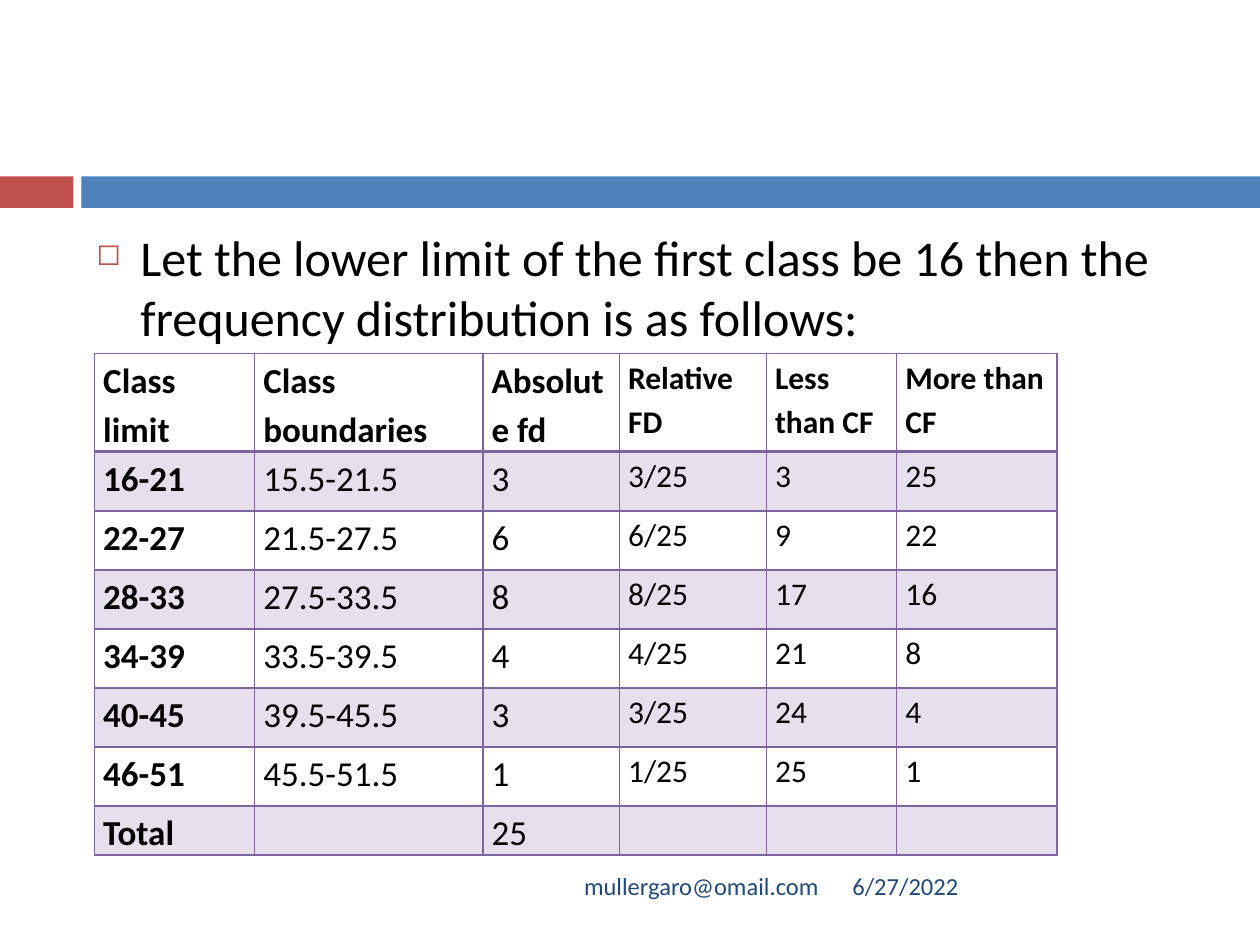
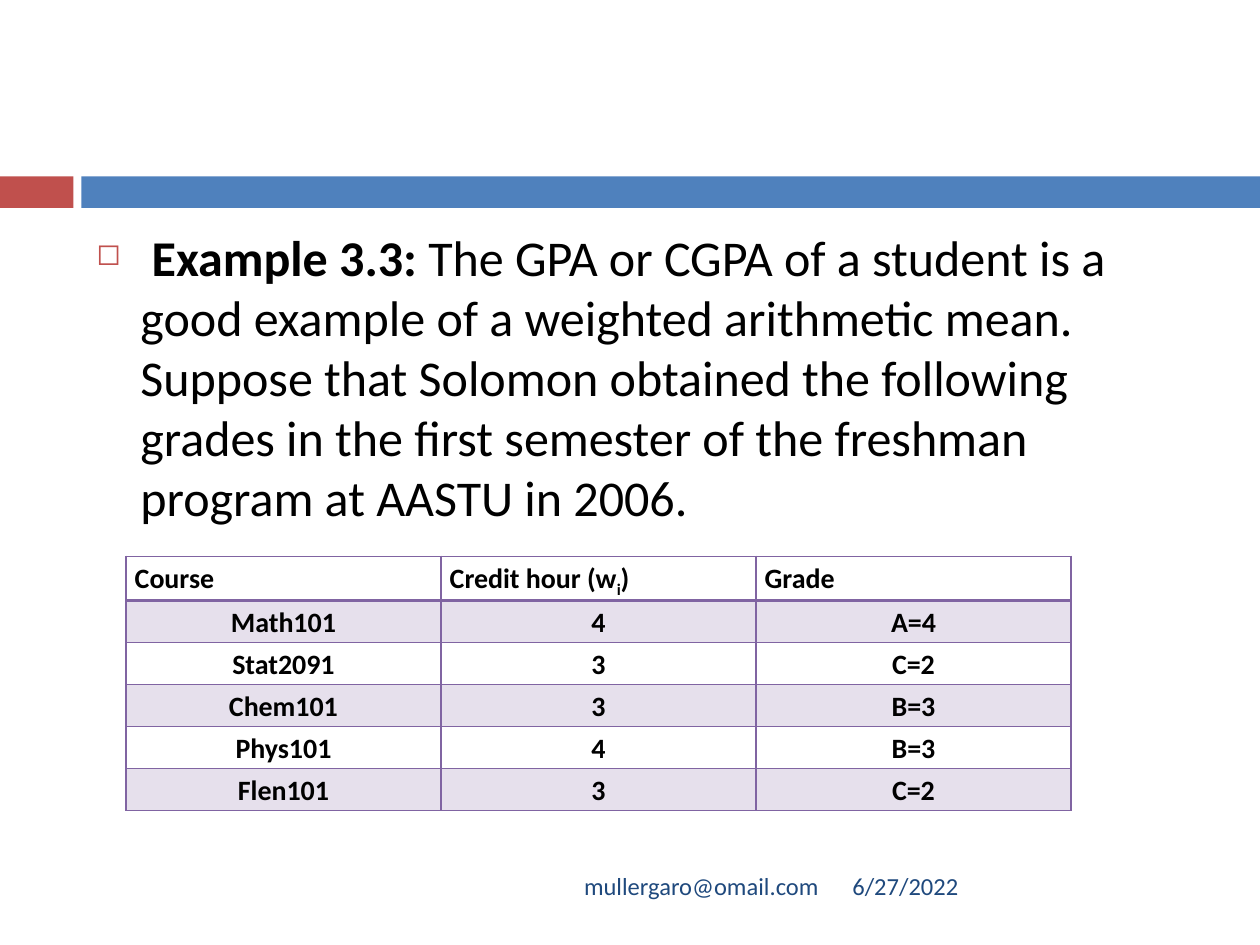
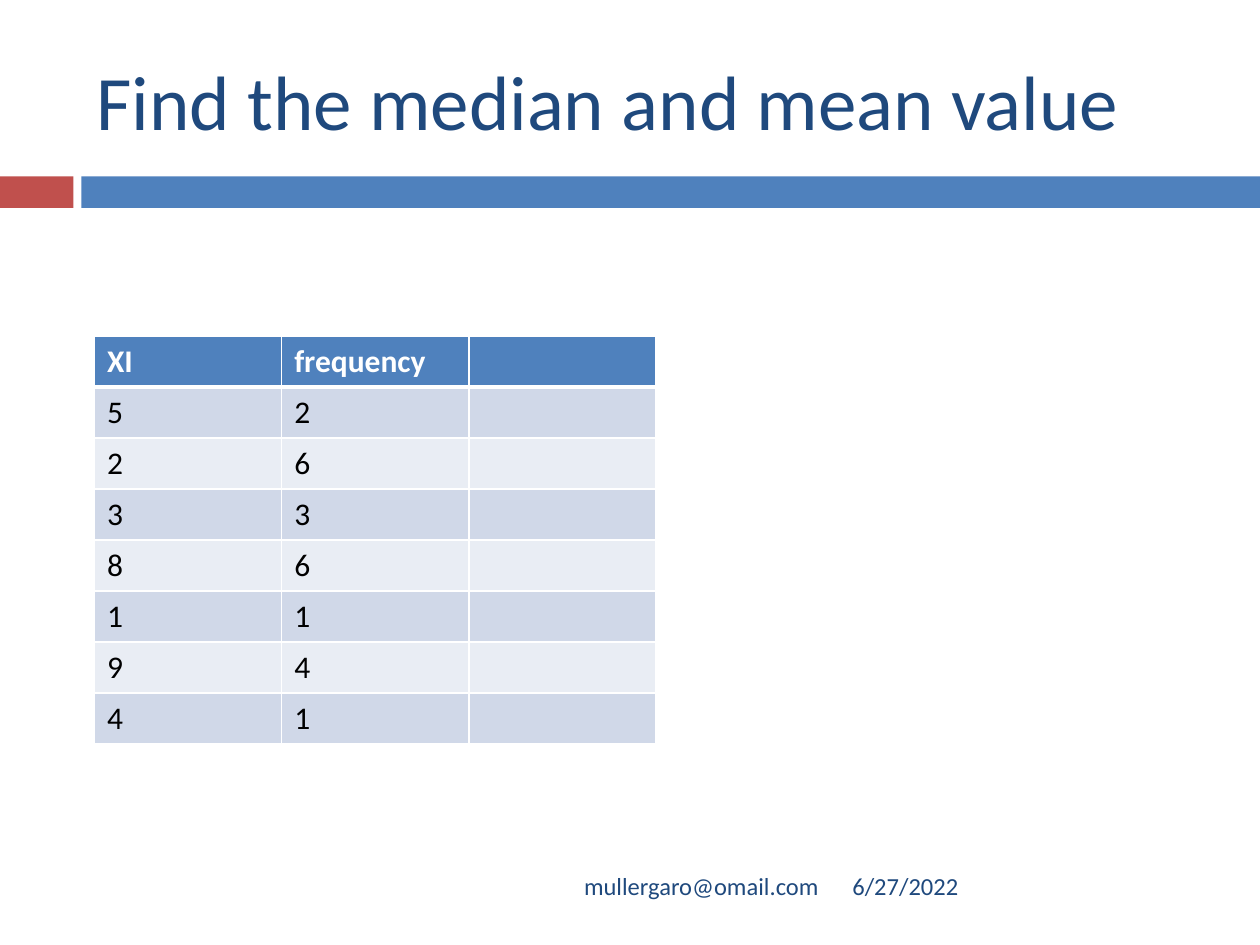
from dataclasses import dataclass

from lxml.etree import SubElement
from pptx import Presentation
from pptx.dml.color import RGBColor
from pptx.enum.shapes import MSO_SHAPE
from pptx.enum.text import MSO_ANCHOR, PP_ALIGN
from pptx.oxml.ns import qn
from pptx.util import Pt


@dataclass(frozen=True)
class Theme:
    font: str = "Calibri"
    ink: str = "000000"
    paper: str = "FFFFFF"
    navy: str = "1F497D"
    blue: str = "4F81BD"
    red: str = "C0504D"
    purple: str = "8064A2"
    lilac: str = "E6E0EC"
    blue_band: str = "D0D8E8"
    pale_band: str = "E9EDF4"
    title_size: float = 44
    body_size: float = 28.6
    footer_size: float = 14
    large_cell: float = 20
    medium_cell: float = 18
    small_cell: float = 16


@dataclass(frozen=True)
class Box:
    left: float
    top: float
    width: float
    height: float

    def lengths(self):
        return Pt(self.left), Pt(self.top), Pt(self.width), Pt(self.height)


@dataclass(frozen=True)
class Piece:
    """A stretch of text that differs from its neighbours."""
    text: str
    bold: bool = False
    subscript: bool = False


@dataclass(frozen=True)
class TableLook:
    """Band fills alternate from the first body row; None means no fill."""
    border: str
    header_fill: str | None
    bands: tuple
    header_ink: str
    rule_width: float
    sizes: tuple
    bold_columns: int = 0
    margins: tuple = (5, 0)
    line_spacing: float | None = None
    header_align: PP_ALIGN | None = None
    body_align: PP_ALIGN | None = None


THEME = Theme()
SLIDE = Box(0, 0, 720, 540)
BAND = Box(0, 100.8, 720, 18)
TITLE = Box(48, 18, 642, 78)
BODY = Box(48, 126, 642, 354)
FOOTER = Box(48, 492, 642, 28.8)
FOOTER_EMAIL = "mullergaro@omail.com"
FOOTER_DATE = "6/27/2022"

PURPLE_GRID = dict(border=THEME.purple, header_fill=None, bands=(THEME.lilac, None),
                   header_ink=THEME.ink, rule_width=2, line_spacing=1.15)
FREQUENCY_LOOK = TableLook(
    sizes=(THEME.large_cell,) * 3 + (THEME.medium_cell,) * 3, bold_columns=1, **PURPLE_GRID)
GRADE_LOOK = TableLook(
    sizes=(THEME.small_cell,) * 3, bold_columns=3,
    header_align=PP_ALIGN.JUSTIFY, body_align=PP_ALIGN.CENTER, **PURPLE_GRID)
MEDIAN_LOOK = TableLook(
    border=THEME.paper, header_fill=THEME.blue, bands=(THEME.blue_band, THEME.pale_band),
    header_ink=THEME.paper, rule_width=3, sizes=(THEME.medium_cell,) * 3, margins=(7.2, 3.6))

FREQUENCY_ROWS = [
    ("Class limit", "Class boundaries", "Absolute fd", "Relative FD", "Less than CF",
     "More than CF"),
    ("16-21", "15.5-21.5", "3", "3/25", "3", "25"),
    ("22-27", "21.5-27.5", "6", "6/25", "9", "22"),
    ("28-33", "27.5-33.5", "8", "8/25", "17", "16"),
    ("34-39", "33.5-39.5", "4", "4/25", "21", "8"),
    ("40-45", "39.5-45.5", "3", "3/25", "24", "4"),
    ("46-51", "45.5-51.5", "1", "1/25", "25", "1"),
    ("Total", "", "25", "", "", ""),
]
GRADE_ROWS = [
    ("Course", (Piece("Credit hour (w"), Piece("i", subscript=True), Piece(")")), "Grade"),
    ("Math101", "4", "A=4"),
    ("Stat2091", "3", "C=2"),
    ("Chem101", "3", "B=3"),
    ("Phys101", "4", "B=3"),
    ("Flen101", "3", "C=2"),
]
MEDIAN_ROWS = [
    ("XI", "frequency", ""),
    ("5", "2", ""),
    ("2", "6", ""),
    ("3", "3", ""),
    ("8", "6", ""),
    ("1", "1", ""),
    ("9", "4", ""),
    ("4", "1", ""),
]


def add_piece(paragraph, piece, size, color, bold=False):
    run = paragraph.add_run()
    run.text = piece.text
    run.font.name = THEME.font
    run.font.size = Pt(size)
    run.font.bold = bold or piece.bold
    run.font.color.rgb = RGBColor.from_string(color)
    if piece.subscript:
        run.font._element.set("baseline", "-25000")


def add_text(slide, box, pieces, size, color, anchor=MSO_ANCHOR.MIDDLE, align=None):
    """Add a wrapped text box and return its only paragraph."""
    frame = slide.shapes.add_textbox(*box.lengths()).text_frame
    frame.word_wrap = True
    frame.vertical_anchor = anchor
    paragraph = frame.paragraphs[0]
    paragraph.alignment = align
    for piece in pieces:
        add_piece(paragraph, piece, size, color)
    return paragraph


def add_bands(slide, box):
    red_width, blue_start = 42, 46.5
    parts = (
        (Box(box.left, box.top, red_width, box.height), THEME.red),
        (Box(box.left + blue_start, box.top, box.width - blue_start, box.height), THEME.blue),
    )
    for part, color in parts:
        shape = slide.shapes.add_shape(MSO_SHAPE.RECTANGLE, *part.lengths())
        shape.shadow.inherit = False
        shape.fill.solid()
        shape.fill.fore_color.rgb = RGBColor.from_string(color)
        shape.line.fill.background()


def add_footer(slide, box):
    email_width, date_width = 427, 210
    date = Box(box.left + box.width - date_width, box.top, date_width, box.height)
    email = Box(box.left, box.top, email_width, box.height)
    add_text(slide, date, [Piece(FOOTER_DATE)], THEME.footer_size, THEME.navy)
    add_text(slide, email, [Piece(FOOTER_EMAIL)], THEME.footer_size, THEME.navy,
             align=PP_ALIGN.RIGHT)


def add_title(slide, box, text):
    add_text(slide, box, [Piece(text)], THEME.title_size, THEME.navy)


def add_bullet(slide, box, pieces):
    paragraph = add_text(slide, box, pieces, THEME.body_size, THEME.ink, MSO_ANCHOR.TOP)
    paragraph.space_before = Pt(7)
    properties = paragraph._p.get_or_add_pPr()
    properties.set("marL", str(Pt(25.2)))
    properties.set("indent", str(-Pt(25.2)))
    color = SubElement(properties, qn("a:buClr"))
    SubElement(color, qn("a:srgbClr"), val=THEME.red)
    SubElement(properties, qn("a:buSzPct"), val="60000")
    SubElement(properties, qn("a:buChar"), char="◻")


def set_borders(cell, color, top, bottom):
    properties = cell._tc.get_or_add_tcPr()
    for side, width in (("L", 1), ("R", 1), ("T", top), ("B", bottom)):
        line = SubElement(properties, qn(f"a:ln{side}"), w=str(Pt(width)))
        fill = SubElement(line, qn("a:solidFill"))
        SubElement(fill, qn("a:srgbClr"), val=color)


def fill_cell(cell, color):
    if color is None:
        cell.fill.background()
    else:
        cell.fill.solid()
        cell.fill.fore_color.rgb = RGBColor.from_string(color)


def write_cell(cell, content, row, column, look):
    header = row == 0
    cell.margin_left = cell.margin_right = Pt(look.margins[0])
    cell.margin_top = cell.margin_bottom = Pt(look.margins[1])
    set_borders(cell, look.border,
                top=look.rule_width if row == 1 else 1,
                bottom=look.rule_width if header else 1)
    fill_cell(cell, look.header_fill if header else look.bands[(row - 1) % 2])
    if not content:
        return
    paragraph = cell.text_frame.paragraphs[0]
    paragraph.alignment = look.header_align if header else look.body_align
    paragraph.line_spacing = look.line_spacing
    pieces = (Piece(content),) if isinstance(content, str) else content
    for piece in pieces:
        add_piece(paragraph, piece, look.sizes[column],
                  look.header_ink if header else THEME.ink,
                  bold=header or column < look.bold_columns)


def add_grid(slide, left, top, widths, heights, rows, look):
    box = Box(left, top, sum(widths), sum(heights))
    table = slide.shapes.add_table(len(rows), len(widths), *box.lengths()).table
    for column, width in zip(table.columns, widths):
        column.width = Pt(width)
    for table_row, height in zip(table.rows, heights):
        table_row.height = Pt(height)
    for row, contents in enumerate(rows):
        for column, content in enumerate(contents):
            write_cell(table.cell(row, column), content, row, column, look)


def add_base_slide(presentation):
    slide = presentation.slides.add_slide(presentation.slide_layouts[6])
    add_bands(slide, BAND)
    add_footer(slide, FOOTER)
    return slide


def add_frequency_slide(presentation, box):
    slide = add_base_slide(presentation)
    add_bullet(slide, box, [Piece(
        "Let the lower limit of the first class be 16 then the frequency distribution "
        "is as follows:")])
    add_grid(slide, box.left + 6, box.top + 76, (91.5, 130.5, 78, 84, 74.5, 91.5),
             [56.25] + [33.75] * 6 + [28], FREQUENCY_ROWS, FREQUENCY_LOOK)


def add_grade_slide(presentation, box):
    slide = add_base_slide(presentation)
    add_bullet(slide, box, [
        Piece(" Example 3.3:", bold=True),
        Piece(" The GPA or CGPA of a student is a good example of a weighted arithmetic "
              "mean. Suppose that Solomon obtained the following grades in the first "
              "semester of the freshman program at AASTU in 2006."),
    ])
    add_grid(slide, box.left + 24, box.top + 192, [180] * 3, [24] * len(GRADE_ROWS),
             GRADE_ROWS, GRADE_LOOK)


def add_median_slide(presentation, box):
    slide = add_base_slide(presentation)
    add_title(slide, TITLE, "Find the median and mean value")
    add_grid(slide, box.left + 6, box.top + 66, [107] * 3, [29.16] * len(MEDIAN_ROWS),
             MEDIAN_ROWS, MEDIAN_LOOK)


def main():
    presentation = Presentation()
    presentation.slide_width = Pt(SLIDE.width)
    presentation.slide_height = Pt(SLIDE.height)
    add_frequency_slide(presentation, BODY)
    add_grade_slide(presentation, BODY)
    add_median_slide(presentation, BODY)
    presentation.save("out.pptx")


if __name__ == "__main__":
    main()
